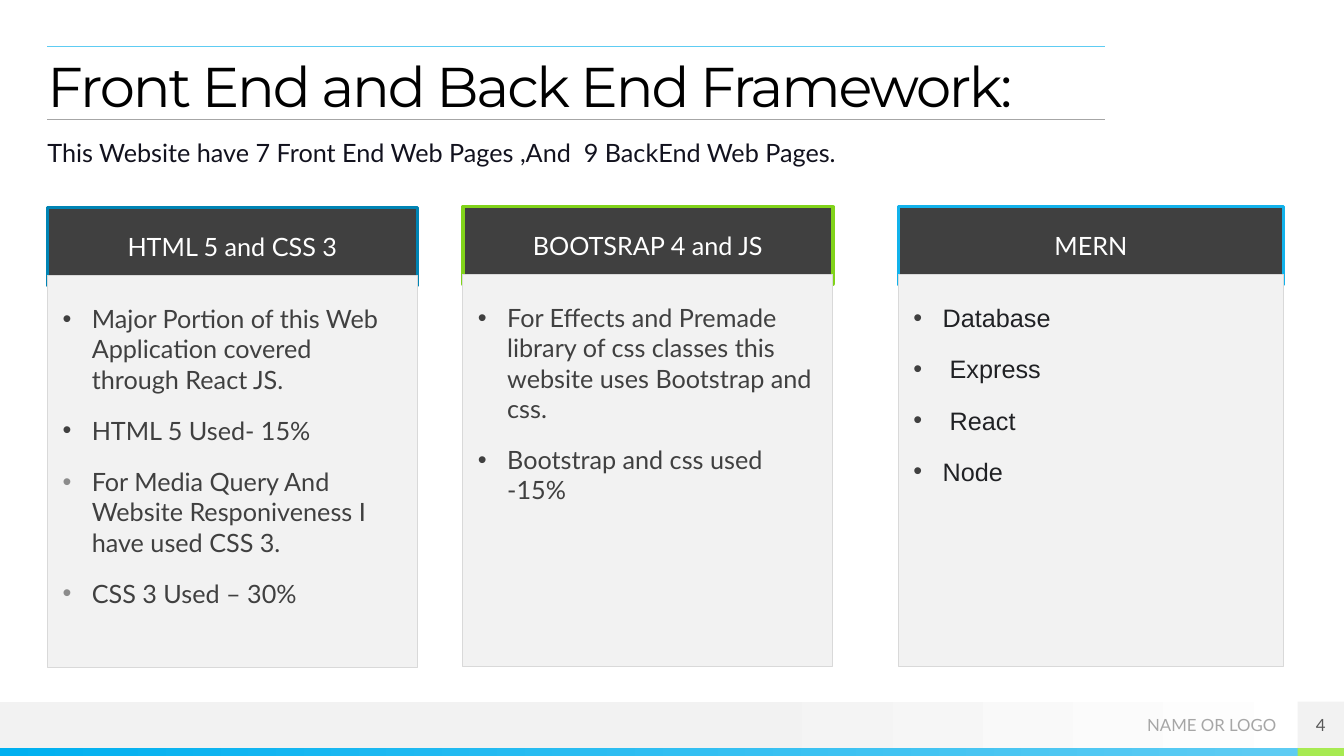
"""Build the front end and back end framework slide."""
from lxml.etree import SubElement
from pptx import Presentation
from pptx.dml.color import RGBColor
from pptx.enum.shapes import MSO_CONNECTOR, MSO_SHAPE
from pptx.enum.text import MSO_ANCHOR as Anchor, MSO_AUTO_SIZE, PP_ALIGN as Align
from pptx.oxml.ns import qn
from pptx.util import Inches, Pt

TITLE = "Front End and Back End Framework:"
SUBTITLE = "This Website have 7 Front End Web Pages ,And  9 BackEnd Web Pages."
FOOTER = "NAME OR LOGO"
PAGE = "4"
DARK, PALE, MUTED = "404040", "F2F2F2", "8C8C8C"
COLUMNS = [
    {"head": "HTML 5 and CSS 3", "accent": "0084B4", "left": 0.47, "top": 2.06, "width": 3.67,
     "font": "Lato", "ink": DARK, "bullets": [DARK, DARK, MUTED, MUTED],
     "points": ["Major Portion of this Web Application covered through React JS.",
                "HTML 5 Used- 15%",
                "For Media Query And Website Responiveness I have used CSS 3.",
                "CSS 3 Used – 30%"]},
    {"head": "BOOTSRAP 4 and JS", "accent": "81D31A", "left": 4.59, "top": 2.05, "width": 3.67,
     "font": "Lato", "ink": DARK, "bullets": [DARK] * 2,
     "points": ["For Effects and Premade library of css classes this website uses Bootstrap and css.",
                "Bootstrap and css used -15%"]},
    {"head": "MERN", "accent": "12B2EB", "left": 8.91, "top": 2.05, "width": 3.82,
     "font": "Arial", "ink": "202124", "bullets": [DARK] * 4,
     "points": ["Database", " Express", " React", "Node"]},
]
RULES = [(0.46, "5ECCF3"), (1.18, "A6A6A6")]
MARGIN, RULE_END = 0.47, 10.96
SLIDE_W, SLIDE_H = 13.33, 7.5
FOOT_TOP, FOOT_H, STRIP_H = 6.96, 0.46, 0.08
HEAD_H, LIST_DROP, LIST_H, INDENT = 0.77, 0.67, 3.89, 0.29
SPACED = {"space_before": Pt(10), "space_after": Pt(5)}


def color(hex_code):
    return RGBColor.from_string(hex_code)


def place(part, left, top, width, height):
    for side, value in zip(("left", "top", "width", "height"), (left, top, width, height)):
        setattr(part, side, Inches(value))


def paint(part, fill, line=None, weight=0.75):
    """Fill with one colour or with gradient stops, then set the outline."""
    if isinstance(fill, str):
        part.fill.solid()
        part.fill.fore_color.rgb = color(fill)
    else:
        part.fill.gradient()
        part.fill.gradient_angle = 0
        for stop, (position, tint) in zip(part.fill.gradient_stops, fill):
            stop.position, stop.color.rgb = position, color(tint)
    if line:
        part.line.color.rgb = color(line)
        part.line.width = Pt(weight)
    else:
        part.line.fill.background()


def write(part, lines, size, font, ink, insets=(0, 0, 0, 0), anchor=Anchor.TOP, **layout):
    frame = part.text_frame
    margins = zip(("margin_left", "margin_top", "margin_right", "margin_bottom"), map(Inches, insets))
    frame_format = {"word_wrap": True, "auto_size": MSO_AUTO_SIZE.NONE,
                    "vertical_anchor": anchor, **dict(margins)}
    for name, value in frame_format.items():
        setattr(frame, name, value)
    frame.text = "\n".join(lines)
    for paragraph in frame.paragraphs:
        for name, value in {"alignment": Align.LEFT, "line_spacing": 1.0, **layout}.items():
            setattr(paragraph, name, value)
        run = paragraph.runs[0]
        for name, value in {"size": Pt(size), "name": font, "bold": False}.items():
            setattr(run.font, name, value)
        run.font.color.rgb = color(ink)
    return frame


def add_bullet(paragraph, tint):
    props = paragraph._p.get_or_add_pPr()
    props.set("marL", str(Inches(INDENT)))
    props.set("indent", str(-Inches(INDENT)))
    SubElement(SubElement(props, qn("a:buClr")), qn("a:srgbClr"), val=tint)
    SubElement(props, qn("a:buFont"), typeface="Arial")
    SubElement(props, qn("a:buChar"), char="•")


def add_box(slide, area, fill, line=None, weight=0.75):
    box = slide.shapes.add_shape(MSO_SHAPE.RECTANGLE, *map(Inches, area))
    box.shadow.inherit = False
    paint(box, fill, line, weight)
    return box


def add_footer(slide):
    corner = SLIDE_W - FOOT_H
    strip_top = FOOT_TOP + FOOT_H
    add_box(slide, (0, FOOT_TOP, SLIDE_W, FOOT_H), [(0.53, PALE), (1, "FFFFFF")])
    add_box(slide, (0, strip_top, corner, STRIP_H), [(0, "00B0F0"), (1, "5ECCF3")])
    add_box(slide, (corner, strip_top, FOOT_H, STRIP_H), "A7EA52")
    owner = slide.shapes.add_textbox(*map(Inches, (10.42, FOOT_TOP, 2.24, 0.47)))
    write(owner, [FOOTER], 12, "Lato", "A6A6A6", anchor=Anchor.MIDDLE, alignment=Align.RIGHT)
    number = add_box(slide, (corner, FOOT_TOP, FOOT_H, FOOT_H), PALE)
    write(number, [PAGE], 12, "Lato", "595959", anchor=Anchor.MIDDLE, alignment=Align.CENTER)


def add_column(slide, column, listing):
    left, top, width = column["left"], column["top"], column["width"]
    head = add_box(slide, (left, top, width, HEAD_H), DARK, column["accent"], 2.5)
    write(head, [column["head"]], 18, "Lato", "FFFFFF", (0.12, 0.04, 0.12, 0.04),
          Anchor.MIDDLE, alignment=Align.CENTER, **SPACED)
    place(listing, left, top + LIST_DROP, width, LIST_H)
    paint(listing, PALE, "D9D9D9")
    frame = write(listing, column["points"], 18, column["font"], column["ink"],
                  (0.15, 0.28, 0.15, 0), **SPACED)
    for paragraph, tint in zip(frame.paragraphs, column["bullets"]):
        add_bullet(paragraph, tint)
    slide.shapes._spTree.append(listing._element)


def add_rule(slide, height, tint):
    rule = slide.shapes.add_connector(
        MSO_CONNECTOR.STRAIGHT, *map(Inches, (MARGIN, height, RULE_END, height)))
    rule.line.color.rgb = color(tint)
    rule.line.width = Pt(0.5)
    SubElement(rule._element.spPr, qn("a:effectLst"))


def main():
    deck = Presentation()
    deck.slide_width, deck.slide_height = Inches(SLIDE_W), Inches(SLIDE_H)
    slide = deck.slides.add_slide(deck.slide_layouts.get_by_name("Comparison"))
    title, subtitle, *listings = slide.placeholders
    add_footer(slide)
    place(title, MARGIN, 0.59, 12.4, 0.47)
    heading = write(title, [TITLE], 40, "Montserrat", "000000", line_spacing=0.9)
    heading.paragraphs[0].runs[0].font._element.set("spc", "-150")
    place(subtitle, MARGIN, 1.36, 12.4, 0.39)
    write(subtitle, [SUBTITLE], 18, "Lato", "12121E", **SPACED)
    for column, listing in zip(COLUMNS, listings):
        add_column(slide, column, listing)
    for height, tint in RULES:
        add_rule(slide, height, tint)
    deck.save("out.pptx")


if __name__ == "__main__":
    main()
